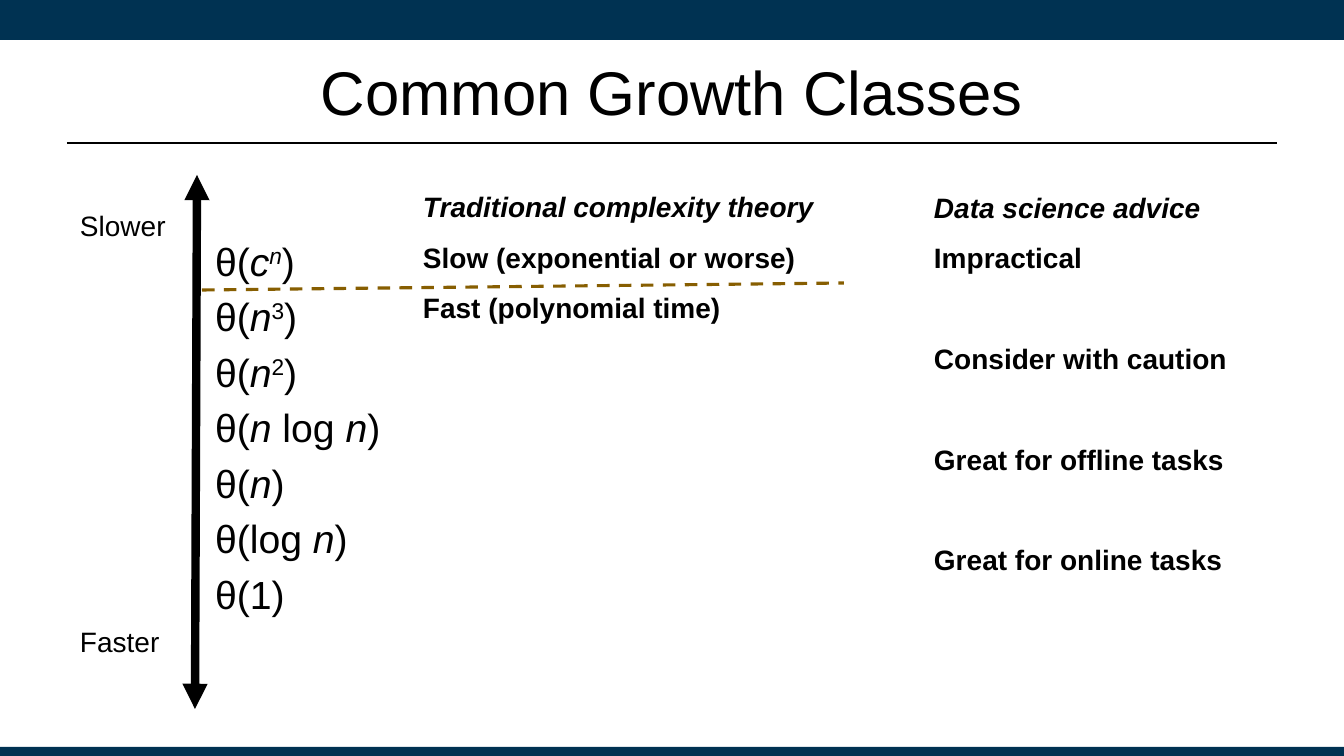
from dataclasses import dataclass

from lxml.etree import SubElement
from pptx import Presentation
from pptx.dml.color import RGBColor
from pptx.enum.dml import MSO_LINE
from pptx.enum.shapes import MSO_CONNECTOR, MSO_SHAPE
from pptx.enum.text import MSO_ANCHOR, MSO_AUTO_SIZE, PP_ALIGN
from pptx.oxml.ns import qn
from pptx.slide import Slide
from pptx.text.text import TextFrame
from pptx.util import Pt

EMU_PER_PX = 914400 / 100.8
PAGE_WIDTH, PAGE_HEIGHT = 1344, 756
FONT = "Arial"
NAVY = RGBColor(0x00, 0x32, 0x52)
BLACK = RGBColor(0x00, 0x00, 0x00)
OCHRE = RGBColor(0x87, 0x5E, 0x01)


@dataclass(frozen=True)
class Span:
    text: str
    italic: bool = False
    bold: bool = False
    raised: bool = False


@dataclass(frozen=True)
class Para:
    spans: tuple[Span, ...]
    before: int = 0


@dataclass(frozen=True)
class Block:
    left: int
    top: int
    width: int
    height: int
    size: int
    paras: tuple[Para, ...]
    inset_y: int = 5


@dataclass(frozen=True)
class Rule:
    start: tuple[int, int]
    end: tuple[int, int]
    color: RGBColor
    weight: float
    dashed: bool = False
    arrows: bool = False


@dataclass(frozen=True)
class Bar:
    top: int
    height: int


def px(length: int) -> int:
    return round(length * EMU_PER_PX)


def growth_class(*spans: Span, before: int = 6) -> Para:
    return Para((Span("θ("), *spans, Span(")")), before)


def heading(text: str) -> Para:
    return Para((Span(text, italic=True, bold=True),))


def verdict(text: str, before: int = 12) -> Para:
    return Para((Span(text, bold=True),), before)


def label(text: str, top: int) -> Block:
    return Block(70, top, 112, 54, 20, (Para((Span(text),)),), inset_y=10)


N = Span("n", italic=True)
SKIPPED_ROW = 48

BARS = (Bar(0, 40), Bar(747, 9))

RULES = (
    Rule((67, 143), (1277, 143), BLACK, 1.25),
    Rule((197, 175), (195, 709), BLACK, 6, arrows=True),
    Rule((202, 290), (844, 283), OCHRE, 2.25, dashed=True),
)

BLOCKS = (
    label("Slower", 198),
    label("Faster", 614),
    Block(205, 232, 196, 393, 28, (
        growth_class(Span("c", italic=True), Span("n", italic=True, raised=True), before=0),
        growth_class(N, Span("3", raised=True)),
        growth_class(N, Span("2", raised=True)),
        growth_class(N, Span(" log "), N),
        growth_class(N),
        growth_class(Span("log "), N),
        growth_class(Span("1")),
    )),
    Block(413, 185, 439, 150, 20, (
        heading("Traditional complexity theory"),
        verdict("Slow (exponential or worse)"),
        verdict("Fast (polynomial time)"),
    )),
    Block(924, 185, 353, 425, 20, (
        heading("Data science advice"),
        verdict("Impractical"),
        verdict("Consider with caution", SKIPPED_ROW),
        verdict("Great for offline tasks", SKIPPED_ROW),
        verdict("Great for online tasks", SKIPPED_ROW),
    )),
)


def draw_bar(page: Slide, bar: Bar) -> None:
    shape = page.shapes.add_shape(
        MSO_SHAPE.RECTANGLE, 0, px(bar.top), px(PAGE_WIDTH), px(bar.height))
    shape.shadow.inherit = False
    shape.fill.solid()
    shape.fill.fore_color.rgb = NAVY
    shape.line.fill.background()


def draw_rule(page: Slide, rule: Rule) -> None:
    connector = page.shapes.add_connector(
        MSO_CONNECTOR.STRAIGHT, *map(px, rule.start + rule.end))
    line = connector.line
    line.color.rgb = rule.color
    line.width = Pt(rule.weight)
    if rule.dashed:
        line.dash_style = MSO_LINE.DASH
    properties = connector._element.spPr
    if rule.arrows:
        outline = properties.find(qn("a:ln"))
        for arrow_end in ("a:headEnd", "a:tailEnd"):
            SubElement(outline, qn(arrow_end), type="triangle")
    SubElement(properties, qn("a:effectLst"))


def write_paras(frame: TextFrame, paras: tuple[Para, ...], size: int,
                align: PP_ALIGN = PP_ALIGN.LEFT) -> None:
    for index, para in enumerate(paras):
        paragraph = frame.add_paragraph() if index else frame.paragraphs[0]
        paragraph.alignment = align
        paragraph.space_before = Pt(para.before)
        for span in para.spans:
            run = paragraph.add_run()
            run.text = span.text
            font = run.font
            font.name = FONT
            font.size = Pt(size)
            font.color.rgb = BLACK
            font.bold = span.bold
            font.italic = span.italic
            if span.raised:
                run._r.get_or_add_rPr().set("baseline", "30000")


def draw_block(page: Slide, block: Block) -> None:
    box = page.shapes.add_textbox(
        px(block.left), px(block.top), px(block.width), px(block.height))
    frame = box.text_frame
    frame.word_wrap = True
    frame.margin_left = frame.margin_right = px(10)
    frame.margin_top = frame.margin_bottom = px(block.inset_y)
    write_paras(frame, block.paras, block.size)


def draw_title(page: Slide, text: str) -> None:
    title = page.shapes.title
    title.left, title.top = px(67), px(25)
    title.width, title.height = px(1210), px(151 - 20)
    frame = title.text_frame
    frame.auto_size = MSO_AUTO_SIZE.NONE
    frame.word_wrap = True
    frame.vertical_anchor = MSO_ANCHOR.MIDDLE
    write_paras(frame, (Para((Span(text),)),), 44, PP_ALIGN.CENTER)


def main() -> None:
    deck = Presentation()
    deck.slide_width, deck.slide_height = px(PAGE_WIDTH), px(PAGE_HEIGHT)
    page = deck.slides.add_slide(deck.slide_layouts.get_by_name("Title Only"))
    draw_title(page, "Common Growth Classes")
    for bar in BARS:
        draw_bar(page, bar)
    for rule in RULES:
        draw_rule(page, rule)
    for block in BLOCKS:
        draw_block(page, block)
    deck.save("out.pptx")


if __name__ == "__main__":
    main()
